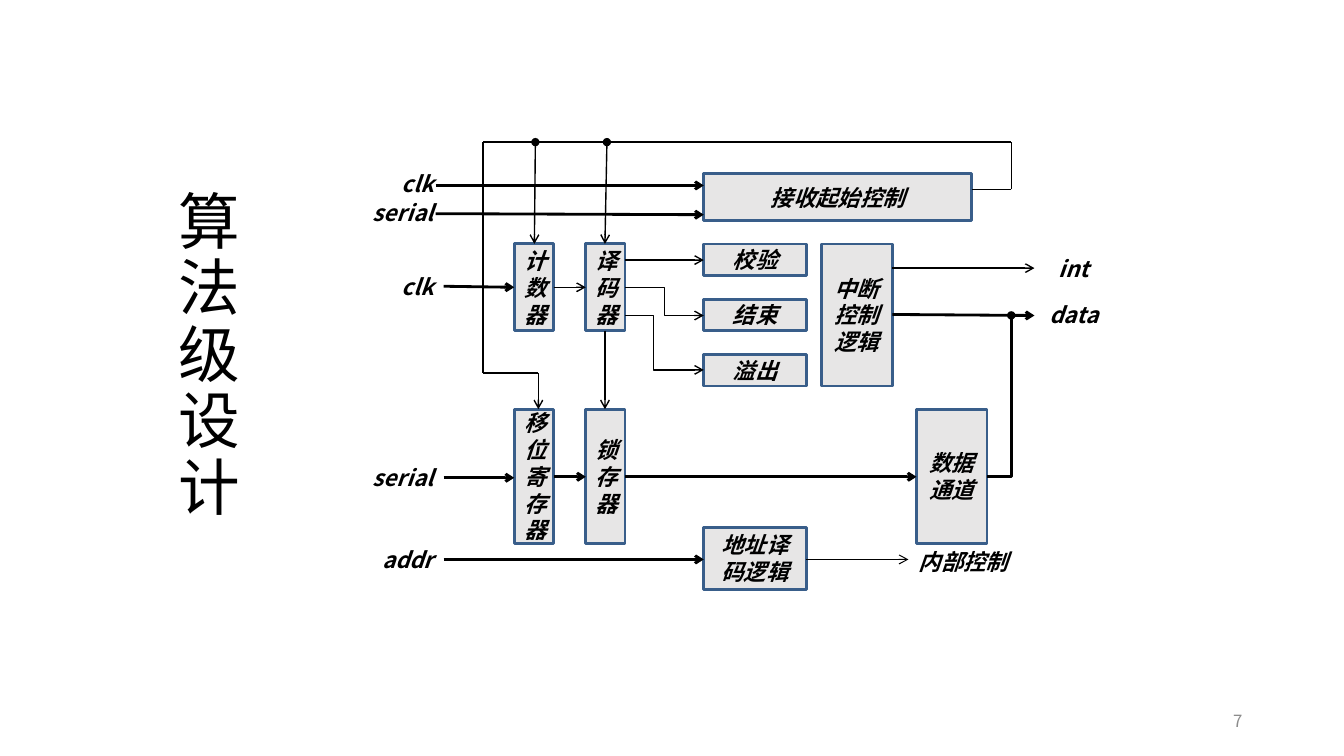
from lxml import etree
from pptx import Presentation
from pptx.dml.color import RGBColor
from pptx.enum import shapes, text
from pptx.oxml.ns import qn
from pptx.util import Inches, Pt

COLORS = {"ink": "000000", "box": "E7E6E6", "border": "395E8A", "number": "8C8C8C"}
CJK = "Noto Sans CJK SC"
LATIN = "Calibri"
THIN, THICK = 1, 2

# Column and row positions shared by the blocks and their wires
COUNTER_X, DECODER_X, STATUS_X = 5.1, 5.81, 6.98
NARROW, STATUS_W = 0.39, 1.02
UPPER_Y, LOWER_Y, STATUS_STEP = 2.42, 4.06, 0.55
UPPER_H, LOWER_H = 0.86, 1.33
COUNTER_END, DECODER_END = COUNTER_X + NARROW, DECODER_X + NARROW
BUS_TOP, BUS_LEFT, BUS_RIGHT, BUS_TURN = 1.41, 4.79, 10.03, 3.7
LABEL_END, OUTPUT_X = 4.4, 10.26

# Blocks: text, left, top, width, height
BLOCKS = [
    ("接收起始控制", STATUS_X, 1.72, 2.66, 0.47),
    ("中断控制逻辑", 8.15, UPPER_Y, 0.7, 1.41),
    ("计数器", COUNTER_X, UPPER_Y, NARROW, UPPER_H),
    ("译码器", DECODER_X, UPPER_Y, NARROW, UPPER_H),
    ("移位寄存器", COUNTER_X, LOWER_Y, NARROW, LOWER_H),
    ("锁存器", DECODER_X, LOWER_Y, NARROW, LOWER_H),
    ("地址译码逻辑", STATUS_X, 5.23, STATUS_W, 0.62),
    ("数据通道", 9.09, LOWER_Y, 0.7, LOWER_H),
]
BLOCKS += [
    (name, STATUS_X, UPPER_Y + row * STATUS_STEP, STATUS_W, 0.31)
    for row, name in enumerate(["校验", "结束", "溢出"])
]

# Input labels end at LABEL_END: text, top
INPUTS = [("clk", 1.64), ("serial", 1.93), ("clk", 2.66), ("serial", 4.56), ("addr", 5.37)]
INPUT_W = 1.09
# Output labels: text, left, top, width
OUTPUTS = [
    ("int", OUTPUT_X, 2.48, 0.78),
    ("data", OUTPUT_X, 2.94, 0.78),
    ("内部控制", 8.93, 5.39, 1.25),
]

# Arrows: start, end, weight, start mark
ARROWS = [
    ((4.32, 1.84), (STATUS_X, 1.84), THICK, None),
    ((4.32, 2.12), (STATUS_X, 2.13), THICK, None),
    ((LABEL_END, 2.84), (COUNTER_X, 2.85), THICK, None),
    ((LABEL_END, 4.74), (COUNTER_X, 4.74), THICK, None),
    ((LABEL_END, 5.55), (STATUS_X, 5.55), THICK, None),
    ((COUNTER_END, 2.85), (DECODER_X, 2.85), THIN, None),
    ((COUNTER_END, 4.73), (DECODER_X, 4.73), THICK, None),
    ((DECODER_END, 4.73), (9.09, 4.73), THICK, None),
    ((DECODER_END, 2.58), (STATUS_X, 2.58), THIN, None),
    ((5.31, BUS_TOP), (5.3, UPPER_Y), THIN, "oval"),
    ((6.02, BUS_TOP), (6, UPPER_Y), THIN, "oval"),
    ((6, 3.28), (6, LOWER_Y), THIN, None),
    ((8.85, 2.66), (OUTPUT_X, 2.66), THIN, None),
    ((8.85, 3.12), (OUTPUT_X, 3.13), THICK, None),
    ((7.99, 5.55), (9.01, 5.55), 0.75, None),
]
# Feedback wire from the start control to the shift register
FEEDBACK = [
    (9.64, 1.88), (BUS_RIGHT, 1.88), (BUS_RIGHT, BUS_TOP), (BUS_LEFT, BUS_TOP),
    (BUS_LEFT, BUS_TURN), (5.34, BUS_TURN), (5.34, LOWER_Y),
]
# Decoder elbows: start, end, share of the width before the turn
ELBOWS = [
    ((DECODER_END, 2.85), (STATUS_X, 3.13), 0.5),
    ((DECODER_END, 3.13), (STATUS_X, 3.67), 0.364),
]


def color(name):
    return RGBColor.from_string(COLORS[name])


def write(shape, words, size, font, align, ink="ink", strong=True):
    frame = shape.text_frame
    frame.word_wrap = True
    frame.text = words
    paragraph = frame.paragraphs[0]
    paragraph.alignment = align
    run = paragraph.runs[0]
    run.font.size = Pt(size)
    run.font.name = font
    run.font.bold = run.font.italic = strong
    run.font.color.rgb = color(ink)
    east_asian = etree.SubElement(run.font._element, qn("a:ea"))
    east_asian.set("typeface", CJK)
    return frame


def add_label(slide, words, left, top, width, align):
    box = slide.shapes.add_textbox(Inches(left), Inches(top), Inches(width), Inches(0.37))
    frame = write(box, words, 16, CJK, align)
    frame.auto_size = text.MSO_AUTO_SIZE.SHAPE_TO_FIT_TEXT


def add_wire(slide, start, end, weight, head=None, tail=None,
             kind=shapes.MSO_CONNECTOR.STRAIGHT):
    wire = slide.shapes.add_connector(kind, *[Inches(value) for value in start + end])
    wire.line.color.rgb = color("ink")
    wire.line.width = Pt(weight)
    line = wire.line._get_or_add_ln()
    for tag, mark in (("a:headEnd", head), ("a:tailEnd", tail)):
        if mark:
            etree.SubElement(line, qn(tag)).set("type", mark)
    etree.SubElement(wire._element.spPr, qn("a:effectLst"))
    return wire


def main():
    presentation = Presentation()
    presentation.slide_width = Inches(13.33)
    presentation.slide_height = Inches(7.5)
    slide = presentation.slides.add_slide(presentation.slide_layouts[6])
    center, right = text.PP_ALIGN.CENTER, text.PP_ALIGN.RIGHT

    # Title, one character per line
    title = slide.shapes.add_textbox(Inches(1.67), Inches(1.64), Inches(0.79), Inches(3.81))
    frame = write(title, "算法级设计", 44, CJK, center, strong=False)
    frame.vertical_anchor = text.MSO_ANCHOR.MIDDLE
    frame.paragraphs[0].line_spacing = 0.9

    # Blocks
    for words, *place in BLOCKS:
        block = slide.shapes.add_shape(
            shapes.MSO_SHAPE.RECTANGLE, *[Inches(value) for value in place])
        block.shadow.inherit = False
        block.fill.solid()
        block.fill.fore_color.rgb = color("box")
        block.line.color.rgb = color("border")
        block.line.width = Pt(2)
        write(block, words, 16, LATIN, center).vertical_anchor = text.MSO_ANCHOR.MIDDLE

    # Straight wires
    for start, end, weight, head in ARROWS:
        add_wire(slide, start, end, weight, head, "arrow")
    for start, end in zip(FEEDBACK, FEEDBACK[1:]):
        add_wire(slide, start, end, THIN, tail="arrow" if end == FEEDBACK[-1] else None)

    # Bent wires
    elbow = shapes.MSO_CONNECTOR.ELBOW
    for start, end, turn in ELBOWS:
        wire = add_wire(slide, start, end, THIN, tail="arrow", kind=elbow)
        geometry = wire._element.spPr.find(qn("a:prstGeom"))
        guide = etree.SubElement(geometry.find(qn("a:avLst")), qn("a:gd"))
        guide.set("name", "adj1")
        guide.set("fmla", f"val {round(turn * 100000)}")
    data_wire = add_wire(slide, (9.79, 4.73), (BUS_RIGHT, 3.13), THICK, tail="oval", kind=elbow)
    data_wire._element.spPr.find(qn("a:prstGeom")).set("prst", "bentConnector2")

    # Signal labels
    for words, top in INPUTS:
        add_label(slide, words, LABEL_END - INPUT_W, top, INPUT_W, right)
    for words, left, top, width in OUTPUTS:
        add_label(slide, words, left, top, width, center)

    # Slide number
    number = slide.shapes.add_textbox(Inches(9.42), Inches(6.95), Inches(3), Inches(0.4))
    frame = write(number, "7", 12, CJK, right, "number", strong=False)
    frame.vertical_anchor = text.MSO_ANCHOR.MIDDLE

    presentation.save("out.pptx")


if __name__ == "__main__":
    main()
